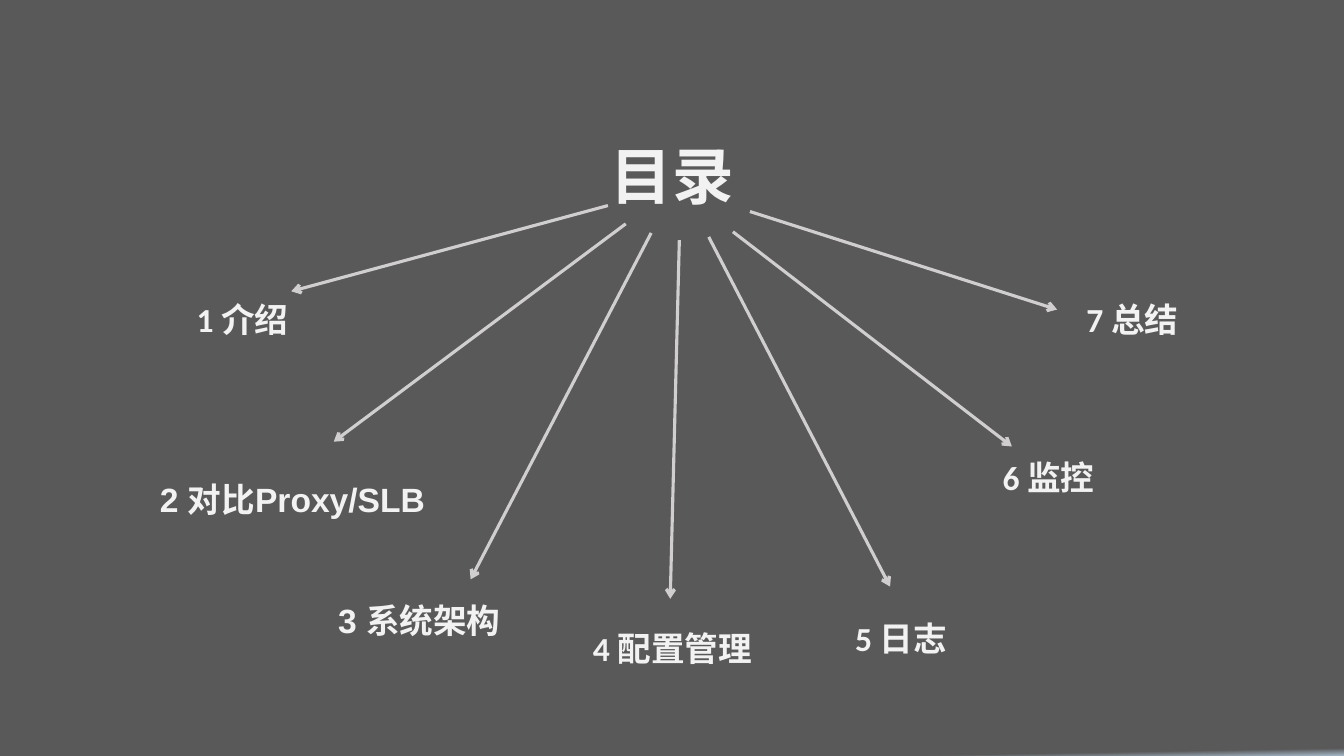
from lxml.etree import SubElement
from pptx import Presentation
from pptx.dml.color import RGBColor
from pptx.enum.shapes import MSO_CONNECTOR
from pptx.enum.text import MSO_ANCHOR, MSO_AUTO_SIZE, PP_ALIGN
from pptx.oxml.ns import qn
from pptx.util import Cm, Pt

TEXT_COLOR = RGBColor(0xF2, 0xF2, 0xF2)
ARROW_COLOR = RGBColor(0xD0, 0xCE, 0xCE)
BACKGROUND_STOPS = [
    (0, RGBColor(0x59, 0x59, 0x59)),
    (99, RGBColor(0x59, 0x59, 0x59)),
    (100, RGBColor(0xA5, 0xB8, 0xC9)),
    (100, RGBColor(0x94, 0x9D, 0xA6)),
    (100, RGBColor(0xB5, 0xD2, 0xEC)),
]


def write_text(box, text, size, font_name, align):
    frame = box.text_frame
    frame.word_wrap = True
    frame.auto_size = MSO_AUTO_SIZE.SHAPE_TO_FIT_TEXT
    frame.vertical_anchor = MSO_ANCHOR.TOP
    paragraph = frame.paragraphs[0]
    paragraph.alignment = align
    run = paragraph.add_run()
    run.text = text
    run.font.name = font_name
    run.font.size = Pt(size)
    run.font.bold = True
    run.font.color.rgb = TEXT_COLOR


deck = Presentation()
deck.slide_width, deck.slide_height = Cm(33.87), Cm(19.05)
slide = deck.slides.add_slide(deck.slide_layouts[5])

# Dark background with a thin blue edge at the bottom right
background = slide.background.fill
background.gradient()
gradient = slide.element.cSld.find(".//" + qn("a:gradFill"))
stop_list = gradient.find(qn("a:gsLst"))
for old_stop in list(stop_list):
    stop_list.remove(old_stop)
for percent, color in BACKGROUND_STOPS:
    stop = SubElement(stop_list, qn("a:gs"), pos=str(percent * 1000))
    SubElement(stop, qn("a:srgbClr"), val=str(color))
gradient.find(qn("a:lin")).set("ang", str(89 * 60000))

# Title
title = slide.shapes.title
title.left, title.top, title.width, title.height = Cm(12.19), Cm(3.35), Cm(9.5), Cm(2.13)
write_text(title, "目录", 44, "Arial", PP_ALIGN.CENTER)

# Chapters: text, font, alignment, (left, top, width), arrow start, arrow end
CENTER, LEFT = PP_ALIGN.CENTER, PP_ALIGN.LEFT
chapters = [
    ("1 介绍", "Calibri", CENTER, (3.71, 7.42, 4.8), (15.32, 5.18), (7.34, 7.34)),
    ("2 对比Proxy/SLB", "Arial", CENTER, (3.71, 11.94, 7.32), (15.77, 5.64), (8.41, 11.13)),
    ("3 系统架构", "Arial", CENTER, (8.05, 14.99, 5.03), (16.41, 5.87), (11.86, 14.6)),
    ("4 配置管理", "Calibri", CENTER, (13.67, 15.7, 6.55), (17.12, 6.05), (16.89, 15.09)),
    ("5 日志", "Calibri", CENTER, (19.91, 15.44, 5.59), (17.86, 5.97), (22.43, 14.78)),
    ("6 监控", "Calibri", CENTER, (24.56, 11.4, 3.73), (18.47, 5.84), (25.5, 11.25)),
    ("7 总结", "Calibri", LEFT, (27.13, 7.42, 5.16), (18.9, 5.33), (26.64, 7.8)),
]
for text, font_name, align, (left, top, width), start, end in chapters:
    chapter = slide.shapes.add_textbox(Cm(left), Cm(top), Cm(width), Cm(1.27))
    write_text(chapter, text, 24, font_name, align)

    arrow = slide.shapes.add_connector(MSO_CONNECTOR.STRAIGHT, *map(Cm, start + end))
    arrow.line.color.rgb = ARROW_COLOR
    arrow.line.width = Pt(2.25)
    properties = arrow.element.spPr
    SubElement(properties.find(qn("a:ln")), qn("a:tailEnd"), type="arrow")
    SubElement(properties, qn("a:effectLst"))

deck.save("out.pptx")
